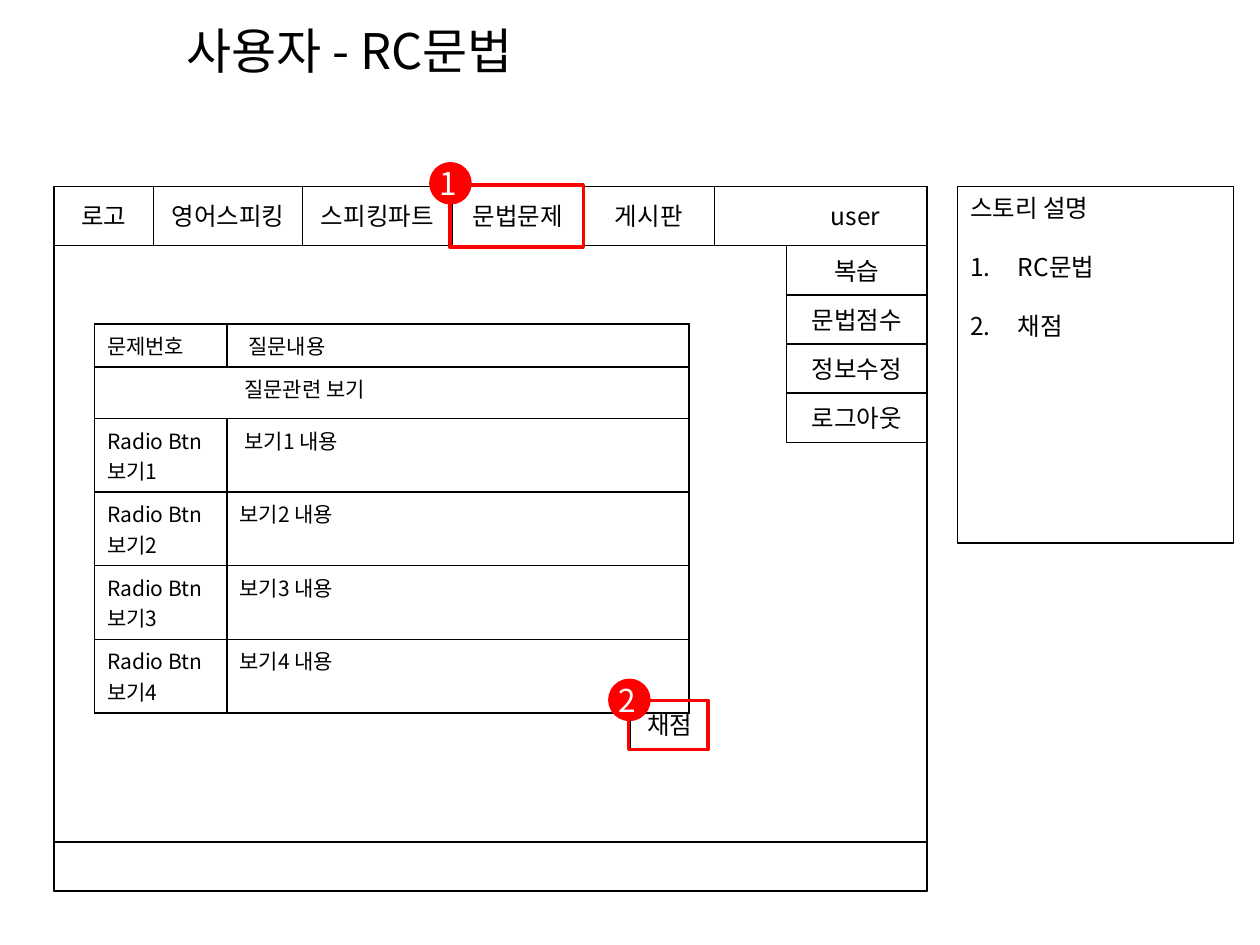
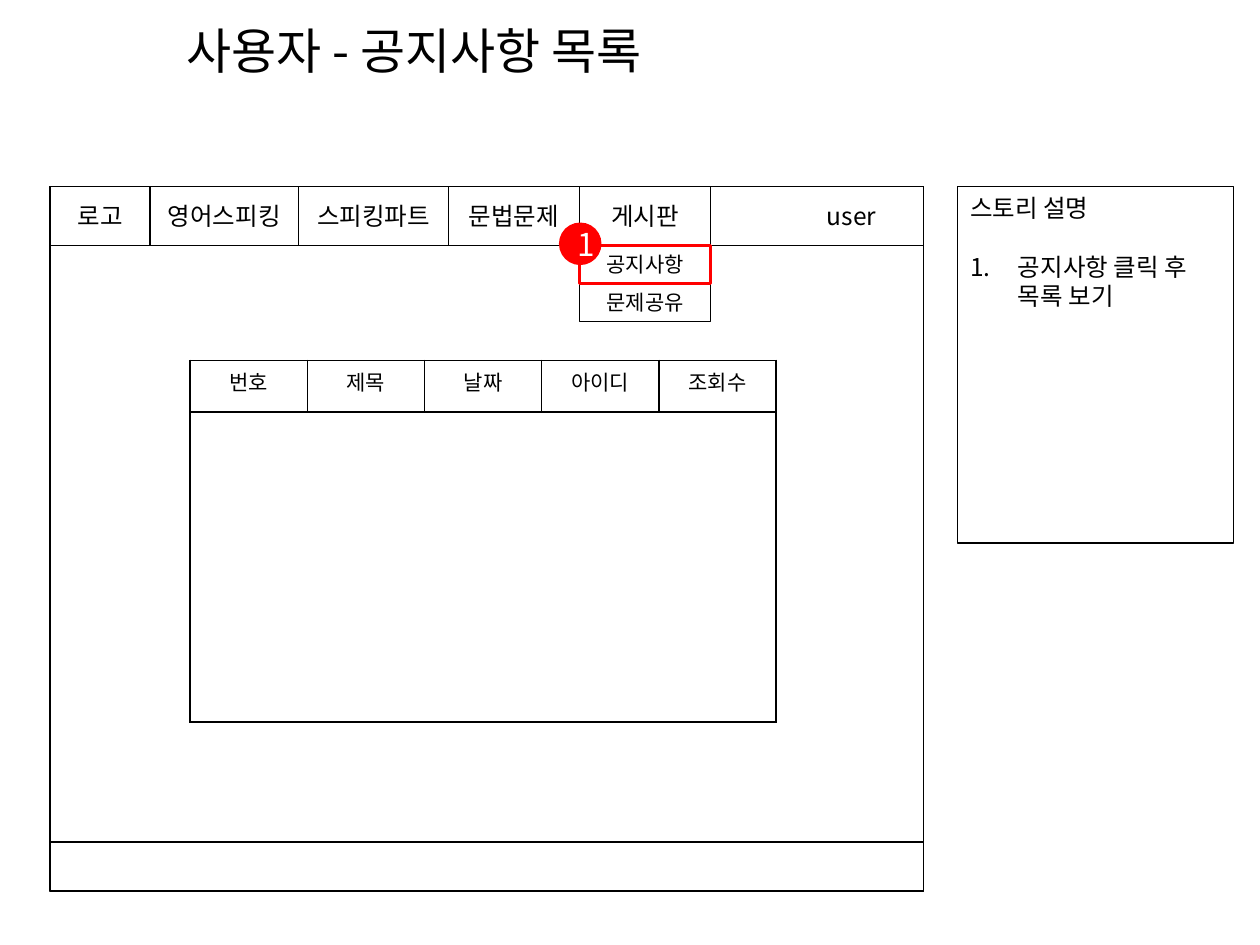
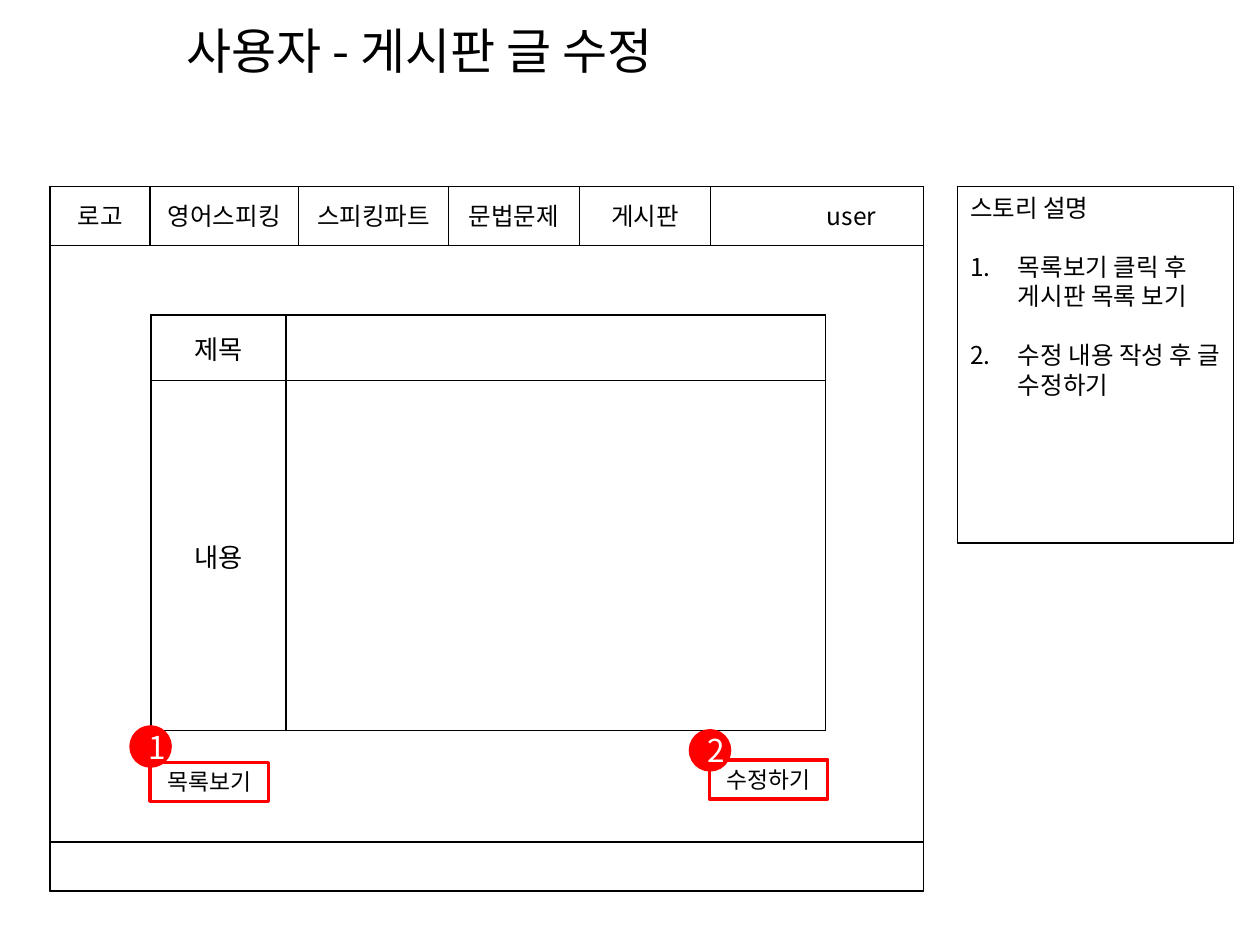
from lxml import etree
from pptx import Presentation
from pptx import util as u
from pptx.dml.color import RGBColor
from pptx.enum import shapes, text
from pptx.oxml.ns import qn

FONT = "Noto Sans CJK KR"
COLORS = {"ink": "000000", "mark": "FF0000", "paper": "FFFFFF"}
CENTER, LEFT = text.PP_ALIGN.CENTER, text.PP_ALIGN.LEFT
MIDDLE, TOP = text.MSO_ANCHOR.MIDDLE, text.MSO_ANCHOR.TOP
SIDES = {"l": "a:lnL", "r": "a:lnR", "t": "a:lnT", "b": "a:lnB"}

TABS = [("로고", 0.79), ("영어스피킹", 1.18), ("스피킹파트", 1.19),
        ("문법문제", 1.04), ("게시판", 1.04)]
FRAME_TOP, FRAME_WIDTH, FRAME_HEIGHT = 1.48, 6.93, 5.59
BAR_HEIGHT, FOOTER_HEIGHT = 0.47, 0.39
MENU_TOP = FRAME_TOP + BAR_HEIGHT
BADGE = 0.31

# Marks: box, label, rise of the badge above the box.
# Cells: text, extra left indent, border sides.
SLIDES = [
    {
        "title": "사용자 - RC문법",
        "story": ["RC문법", "채점"],
        "frame_left": 0.43,
        "menu": {"items": ["복습", "문법점수", "정보수정", "로그아웃"],
                 "offset": 5.81, "width": 1.12, "height": 0.39, "size": 14},
        "buttons": [((5, 5.56, 0.63, 0.39), "채점")],
        "marks": [((3.57, 1.47, 1.06, 0.49), "", 0.17),
                  ((4.99, 5.56, 0.63, 0.39), "", 0.16)],
        "digit_shift": -0.02,
        "table": {
            "at": (0.75, 2.57), "columns": [1.05, 3.67],
            "rows": [0.33] + [0.41] * 5, "size": 12, "fill": "paper",
            "cells": [
                [("문제번호", 0, "lrtb"), ("질문내용", 0.07, "lrtb")],
                [("", 0, "ltb"), ("질문관련 보기", 0.04, "rtb")],
            ] + [
                [(f"Radio Btn 보기{n}", 0, "lrtb"),
                 (f"보기{n} 내용", 0.04 if n == 1 else 0, "lrtb")]
                for n in range(1, 5)
            ],
        },
    },
    {
        "title": "사용자 - 공지사항 목록",
        "story": ["공지사항 클릭 후 목록 보기"],
        "frame_left": 0.4,
        "menu": {"items": ["공지사항", "문제공유"],
                 "offset": 4.2, "width": 1.04, "height": 0.3, "size": 12},
        "marks": [((4.6, 1.95, 1.04, 0.3), "", 0.17)],
        "digit_shift": 0.05,
        "table": {
            "at": (1.51, 2.86), "columns": [0.93] * 5, "rows": [0.41] * 7,
            "size": 12, "align": CENTER,
            "cells": [
                [(name, 0, "lrtb") for name in ("번호", "제목", "날짜", "아이디", "조회수")]
            ] + [
                [("", 0, ("l" if column == 0 else "") + ("r" if column == 4 else "")
                  + ("t" if row == 1 else "") + ("b" if row == 6 else ""))
                 for column in range(5)]
                for row in range(1, 7)
            ],
        },
    },
    {
        "title": "사용자 - 게시판 글 수정",
        "story": ["목록보기 클릭 후 게시판 목록 보기", "수정 내용 작성 후 글 수정하기"],
        "frame_left": 0.4,
        "marks": [((1.19, 6.05, 0.94, 0.31), "목록보기", 0.28),
                  ((5.63, 6.03, 0.94, 0.31), "수정하기", 0.23)],
        "digit_shift": 0.05,
        "table": {
            "at": (1.2, 2.5), "columns": [1.07, 4.28], "rows": [0.52, 2.78],
            "size": 15, "align": CENTER, "anchor": MIDDLE,
            "cells": [[(name, 0, "lrtb"), ("", 0, "lrtb")] for name in ("제목", "내용")],
        },
    },
]


def color(name):
    return RGBColor.from_string(COLORS[name])


def inches(values):
    return [u.Inches(value) for value in values]


def write(paragraph, words, size=14, ink="ink", align=CENTER):
    paragraph.alignment = align
    run = paragraph.add_run()
    run.text = words
    run.font.size = u.Pt(size)
    run.font.color.rgb = color(ink)
    run.font.name = FONT
    etree.SubElement(run.font._element, qn("a:ea"), typeface=FONT)


def add_box(slide, at, words="", size=14, line="ink", width=0.75, fill=None,
            ink="ink", kind=shapes.MSO_SHAPE.RECTANGLE):
    shape = slide.shapes.add_shape(kind, *inches(at))
    shape.shadow.inherit = False
    if fill:
        shape.fill.solid()
        shape.fill.fore_color.rgb = color(fill)
    else:
        shape.fill.background()
    if line:
        shape.line.color.rgb = color(line)
        shape.line.width = u.Pt(width)
    else:
        shape.line.fill.background()
    shape.text_frame.vertical_anchor = MIDDLE
    if words:
        write(shape.text_frame.paragraphs[0], words, size, ink)
    return shape


def add_title(slide, words):
    title = slide.shapes.title
    title.left, title.top, title.width, title.height = inches((1.38, 0.11, 8.43, 0.57))
    title.text_frame.vertical_anchor = TOP
    write(title.text_frame.paragraphs[0], words, 28, align=LEFT)


def add_frame(slide, left):
    """Draw the page outline with its navigation bar and footer."""
    footer_top = FRAME_TOP + FRAME_HEIGHT - FOOTER_HEIGHT
    for top, height in ((FRAME_TOP, FRAME_HEIGHT), (FRAME_TOP, BAR_HEIGHT),
                        (footer_top, FOOTER_HEIGHT)):
        add_box(slide, (left, top, FRAME_WIDTH, height), width=1)
    add_box(slide, (left + 5.81, FRAME_TOP, 1.1, BAR_HEIGHT), "user", line=None)
    for name, width in TABS:
        add_box(slide, (left, FRAME_TOP, width, BAR_HEIGHT), name)
        left += width


def add_menu(slide, frame_left, items, offset, width, height, size):
    for index, item in enumerate(items):
        top = MENU_TOP + index * height
        add_box(slide, (frame_left + offset, top, width, height), item, size)


def add_story(slide, steps):
    frame = add_box(slide, (7.6, 1.48, 2.19, 2.83)).text_frame
    frame.vertical_anchor = TOP
    write(frame.paragraphs[0], "스토리 설명", align=LEFT)
    for step in steps:
        paragraph = frame.add_paragraph()
        paragraph.space_before = u.Pt(17)
        properties = paragraph._p.get_or_add_pPr()
        properties.set("marL", str(u.Inches(0.38)))
        properties.set("indent", str(u.Inches(-0.38)))
        etree.SubElement(properties, qn("a:buFont"), typeface=FONT)
        etree.SubElement(properties, qn("a:buAutoNum"), type="arabicPeriod")
        write(paragraph, step, align=LEFT)


def add_mark(slide, number, at, label, rise, digit_shift):
    """Draw a red box with a numbered badge at its top left corner."""
    add_box(slide, at, label, 13, line="mark", width=2)
    badge = add_box(slide, (at[0] - 0.15, at[1] - rise, BADGE, BADGE), str(number), 18,
                    line="mark", width=2, fill="mark", ink="paper",
                    kind=shapes.MSO_SHAPE.OVAL)
    frame = badge.text_frame
    frame.word_wrap = False
    frame.margin_left = u.Inches(max(0, 2 * digit_shift))
    frame.margin_right = u.Inches(max(0, -2 * digit_shift))


def set_borders(cell, sides):
    properties = cell._tc.get_or_add_tcPr()
    for index, (side, tag) in enumerate(SIDES.items()):
        line = etree.Element(qn(tag), w=str(u.Pt(1)))
        if side in sides:
            fill = etree.SubElement(line, qn("a:solidFill"))
            etree.SubElement(fill, qn("a:srgbClr"), val=COLORS["ink"])
        else:
            etree.SubElement(line, qn("a:noFill"))
        properties.insert(index, line)


def add_grid(slide, at, columns, rows, cells, size, fill=None, align=LEFT, anchor=TOP):
    box = inches((*at, sum(columns), sum(rows)))
    table = slide.shapes.add_table(len(rows), len(columns), *box).table
    table.first_row = table.horz_banding = False
    for column, width in zip(table.columns, columns):
        column.width = u.Inches(width)
    for row, height, contents in zip(table.rows, rows, cells):
        row.height = u.Inches(height)
        for cell, (words, indent, sides) in zip(row.cells, contents):
            cell.margin_left = u.Inches(0.1 + indent)
            cell.vertical_anchor = anchor
            if fill:
                cell.fill.solid()
                cell.fill.fore_color.rgb = color(fill)
            else:
                cell.fill.background()
            set_borders(cell, sides)
            paragraph = cell.text_frame.paragraphs[0]
            if words:
                write(paragraph, words, size, align=align)
            else:
                etree.SubElement(paragraph._p, qn("a:endParaRPr"), sz=str(size * 100))


def main():
    presentation = Presentation()
    presentation.slide_width, presentation.slide_height = inches((10, 7.5))
    for content in SLIDES:
        slide = presentation.slides.add_slide(presentation.slide_layouts[5])
        add_title(slide, content["title"])
        add_frame(slide, content["frame_left"])
        if "menu" in content:
            add_menu(slide, content["frame_left"], **content["menu"])
        for at, label in content.get("buttons", []):
            add_box(slide, at, label)
        add_grid(slide, **content["table"])
        for number, mark in enumerate(content["marks"], 1):
            add_mark(slide, number, *mark, content["digit_shift"])
        add_story(slide, content["story"])
    presentation.save("out.pptx")


if __name__ == "__main__":
    main()
